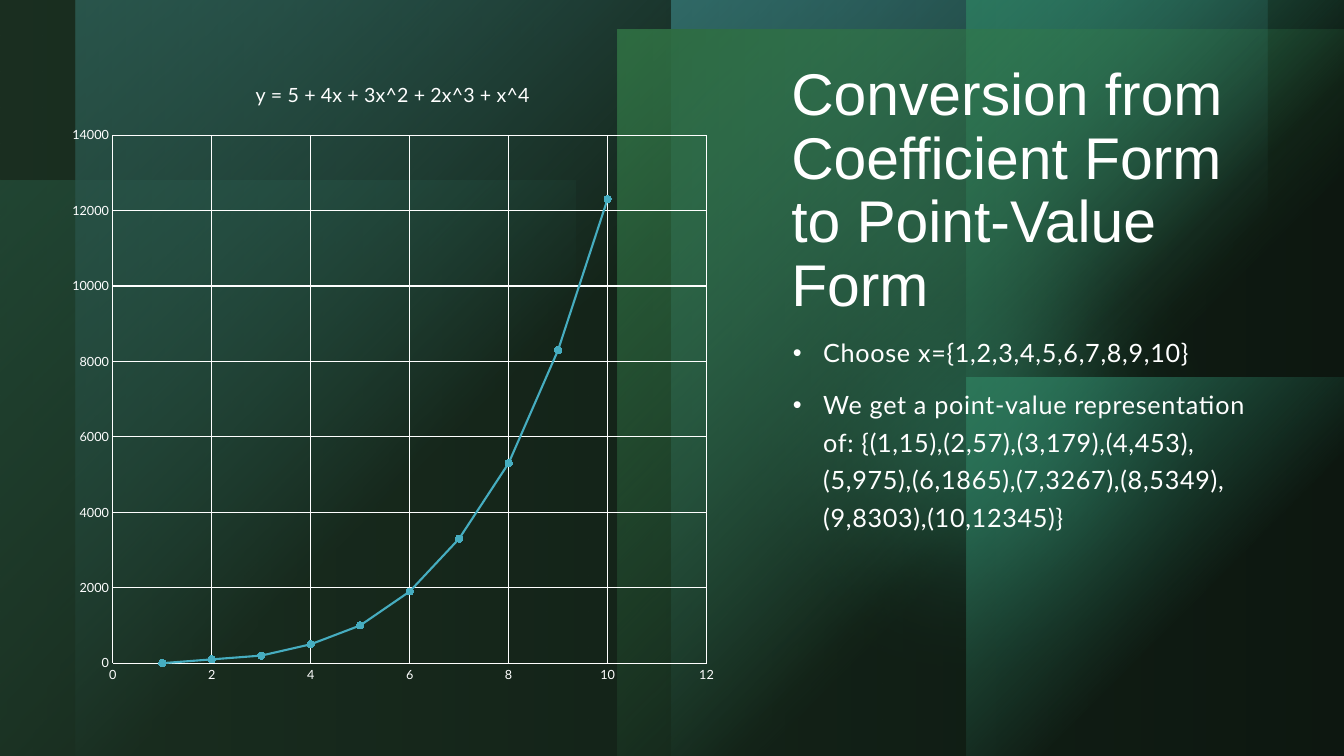
from lxml import etree
from pptx import Presentation
from pptx.chart.data import XyChartData
from pptx.dml.color import RGBColor
from pptx.enum.chart import XL_CHART_TYPE, XL_MARKER_STYLE, XL_TICK_MARK
from pptx.enum.shapes import MSO_SHAPE
from pptx.enum.text import MSO_ANCHOR, MSO_AUTO_SIZE, PP_ALIGN
from pptx.oxml import parse_xml
from pptx.oxml.ns import nsdecls, qn
from pptx.util import Pt

RECT, OVAL = MSO_SHAPE.RECTANGLE, MSO_SHAPE.OVAL
SCATTER = XL_CHART_TYPE.XY_SCATTER_LINES
CIRCLE, NO_TICK = XL_MARKER_STYLE.CIRCLE, XL_TICK_MARK.NONE
TOP, LEFT, FIXED = MSO_ANCHOR.TOP, PP_ALIGN.LEFT, MSO_AUTO_SIZE.NONE

BLACK = RGBColor(0x00, 0x00, 0x00)
WHITE = RGBColor(0xFF, 0xFF, 0xFF)
TEAL = RGBColor(0x37, 0xB5, 0x94)
GREEN = RGBColor(0x43, 0xB7, 0x68)
BLUE = RGBColor(0x46, 0xAD, 0xC0)
MOSS = RGBColor(0x22, 0x3C, 0x2A)

RADIAL = ('<a:path path="circle"><a:fillToRect r="100000" b="100000"/>'
          '</a:path>')
LINEAR = '<a:lin ang="0" scaled="0"/>'

# left, top, width, height, colour, opacity at the top left corner
PANES = [
    (0, 129, 411, 411, TEAL, 60),
    (479.5, 0, 425.5, 540, BLUE, 100),
    (54.3, 0, 425.2, 540, BLUE, 100),
    (690, 270, 270, 270, TEAL, 100),
    (690, 0, 270, 270, TEAL, 100),
    (441, 21, 519, 519, GREEN, 100),
]
GLOWS = [
    (502.5, 0, 340, 340, GREEN, 96),
    (481.5, 97, 433.5, 433.5, TEAL, 60),
]

TITLE = "Conversion from Coefficient Form to Point-Value Form"
POINTS = [
    "Choose x={1,2,3,4,5,6,7,8,9,10}",
    "We get a point-value representation of: {(1,15),(2,57),(3,179),(4,453),"
    "(5,975),(6,1865),(7,3267),(8,5349),(9,8303),(10,12345)}",
]
FORMULA = "y = 5 + 4x + 3x^2 + 2x^3 + x^4"
VALUES = [0, 100, 200, 500, 1000, 1900, 3300, 5300, 8300, 12300]


def apply(target, values):
    for name, value in values.items():
        setattr(target, name, value)


def style(font, face, size):
    apply(font, {"name": face, "size": Pt(size), "bold": False})
    font.color.rgb = WHITE


def add_shape(shapes, kind, box):
    shape = shapes.add_shape(kind, *map(Pt, box))
    shape.shadow.inherit = False
    shape.line.fill.background()
    return shape


def add_pane(shapes, box, stops, shade):
    """Add a rectangle whose gradient stops are (place, colour, opacity)."""
    pane = add_shape(shapes, RECT, box)
    marks = "".join(
        f'<a:gs pos="{place * 1000}"><a:srgbClr val="{color}">'
        f'<a:alpha val="{alpha * 1000}"/></a:srgbClr></a:gs>'
        for place, color, alpha in stops)
    fill = parse_xml(f'<a:gradFill {nsdecls("a")} rotWithShape="1">'
                     f'<a:gsLst>{marks}</a:gsLst>{shade}</a:gradFill>')
    pane._element.spPr.find(qn("a:prstGeom")).addnext(fill)


def add_glow(shapes, box, color, alpha):
    """Add a see-through circle with a soft edge."""
    glow = add_shape(shapes, OVAL, box)
    glow.fill.solid()
    glow.fill.fore_color.rgb = color
    props = glow._element.spPr
    tint = props.find(qn("a:solidFill"))[0]
    etree.SubElement(tint, qn("a:alpha"), val=str(alpha * 1000))
    effects = props.find(qn("a:effectLst"))
    etree.SubElement(effects, qn("a:softEdge"), rad=str(Pt(100)))


def add_backdrop(slide):
    slide.background.fill.solid()
    slide.background.fill.fore_color.rgb = BLACK
    shapes = slide.shapes.add_group_shape().shapes
    for index, (*box, color, alpha) in enumerate(PANES):
        add_pane(shapes, box, [(0, color, alpha), (60, color, 0)], RADIAL)
        if index == 0:
            for *ring, tone, strength in GLOWS:
                add_glow(shapes, ring, tone, strength)
    add_pane(slide.shapes, (0, 0, 960, 540),
             [(0, MOSS, 80), (100, MOSS, 40)], LINEAR)


def fill_holder(slide, holder, box, texts, face, size, layout):
    """Move a placeholder to the front and set its paragraphs."""
    slide.shapes._spTree.append(holder._element)
    apply(holder, dict(zip(("left", "top", "width", "height"), map(Pt, box))))
    frame = holder.text_frame
    frame.text = "\n".join(texts)
    apply(frame, {"word_wrap": True, "auto_size": FIXED,
                  "vertical_anchor": TOP})
    for para in frame.paragraphs:
        apply(para, {"alignment": LEFT, **layout})
        style(para.runs[0].font, face, size)
    return frame


def add_bullet(para):
    props = para._p.get_or_add_pPr()
    indents = {"marL": Pt(21.6), "indent": -Pt(21.6)}
    for name, value in indents.items():
        props.set(name, str(value))
    etree.SubElement(props, qn("a:buFont"), typeface="Arial")
    etree.SubElement(props, qn("a:buChar"), char="•")
    para.runs[0].font._element.set("spc", "50")


def place_plot(area, x, y, w, h):
    """Fix the inner plot area as shares of the chart."""
    for old in area.findall(qn("c:layout")):
        area.remove(old)
    area.insert(0, parse_xml(
        f'<c:layout {nsdecls("c")}><c:manualLayout>'
        '<c:layoutTarget val="inner"/><c:xMode val="edge"/>'
        f'<c:yMode val="edge"/><c:x val="{x}"/><c:y val="{y}"/>'
        f'<c:w val="{w}"/><c:h val="{h}"/></c:manualLayout></c:layout>'))


def add_curve(slide, box):
    data = XyChartData()
    series = data.add_series("Series 1")
    for x, y in enumerate(VALUES, 1):
        series.add_data_point(x, y)
    chart = slide.shapes.add_chart(SCATTER, *map(Pt, box), data).chart
    apply(chart, {"has_legend": False, "has_title": True})
    style(chart.font, "Lato", 10)
    chart.plots[0].vary_by_categories = False

    title = chart.chart_title.text_frame
    title.text = FORMULA
    style(title.paragraphs[0].runs[0].font, "Lato", 14)

    for axis, top, step in ((chart.category_axis, 12, 2),
                            (chart.value_axis, 14000, 2000)):
        apply(axis, {"minimum_scale": 0, "maximum_scale": top,
                     "major_unit": step, "major_tick_mark": NO_TICK,
                     "minor_tick_mark": NO_TICK, "has_major_gridlines": True})
        style(axis.tick_labels.font, "Lato", 9)
        apply(axis.tick_labels, {"number_format": "General",
                                 "number_format_is_linked": False})
        for line in (axis.format.line, axis.major_gridlines.format.line):
            line.color.rgb = WHITE
            line.width = Pt(0.75)

    curve = chart.plots[0].series[0]
    curve.smooth = False
    curve.format.line.color.rgb = BLUE
    curve.format.line.width = Pt(1.5)
    apply(curve.marker, {"style": CIRCLE, "size": 5})
    curve.marker.format.fill.solid()
    curve.marker.format.fill.fore_color.rgb = BLUE
    curve.marker.format.line.color.rgb = BLUE
    place_plot(chart._chartSpace.chart.plotArea, 0.08, 0.12, 0.89, 0.83)


def main():
    deck = Presentation()
    apply(deck, {"slide_width": Pt(960), "slide_height": Pt(540)})
    slide = deck.slides.add_slide(deck.slide_layouts[1])
    add_backdrop(slide)
    fill_holder(slide, slide.shapes.title, (558, 42.7, 358.5, 172), [TITLE],
                "Arial", 42, {"line_spacing": 0.9})
    body = fill_holder(slide, slide.placeholders[1], (559.2, 232, 357, 265),
                       POINTS, "Lato", 18,
                       {"line_spacing": 1.25, "space_before": Pt(10)})
    for para in body.paragraphs:
        add_bullet(para)
    add_curve(slide, (42.5, 42, 476.5, 454.5))
    deck.save("out.pptx")


if __name__ == "__main__":
    main()
